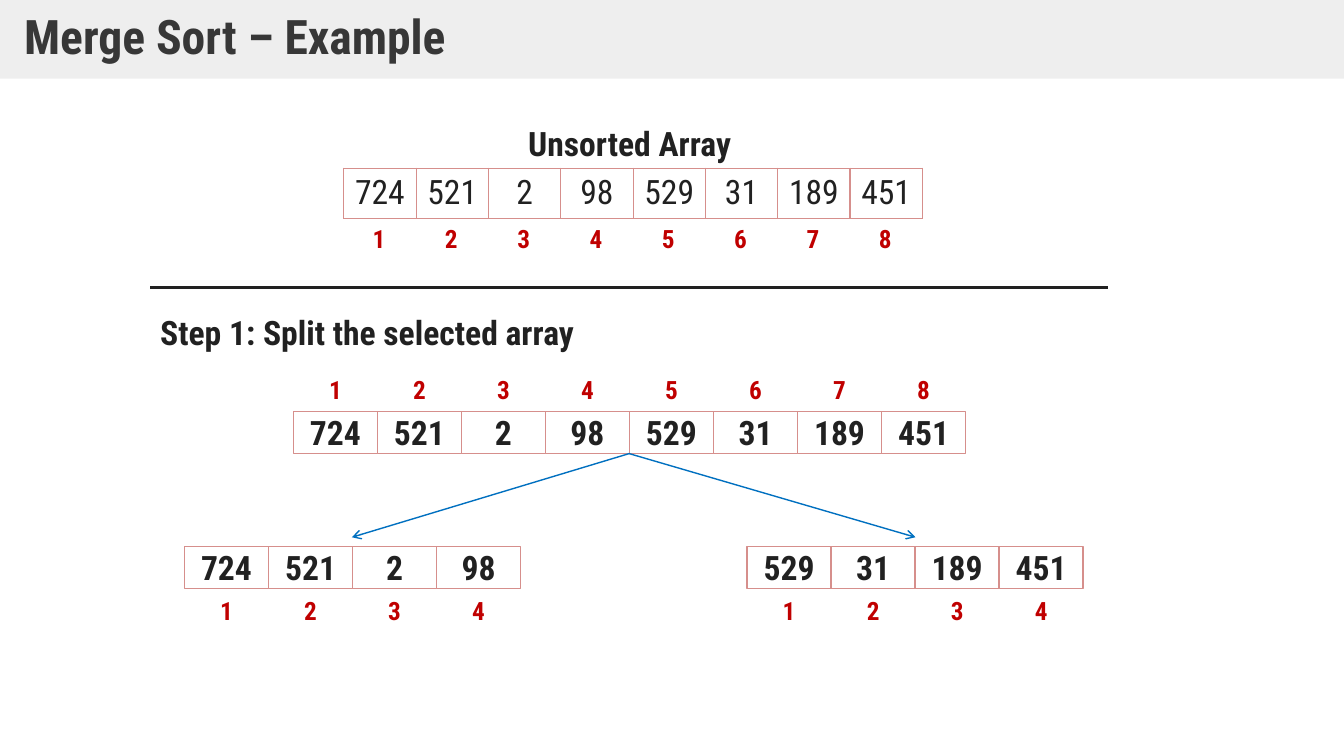
from lxml.etree import SubElement
from pptx import Presentation
from pptx.dml.color import RGBColor
from pptx.enum.shapes import MSO_CONNECTOR as Connector, MSO_SHAPE as Shape
from pptx.enum.text import MSO_ANCHOR as Anchor, MSO_AUTO_SIZE as AutoSize, PP_ALIGN as Align
from pptx.oxml.ns import qn
from pptx.util import Inches, Pt

TITLE = "Merge Sort – Example"
ARRAY_LABEL = "Unsorted Array"
STEP_LABEL = "Step 1: Split the selected array"
VALUES = [724, 521, 2, 98, 529, 31, 189, 451]
HALF = len(VALUES) // 2

TABLE_WIDTH = 5.74
BOX_WIDTH = 2.5 / 3
BOX_HEIGHT = 0.42
BOX_ROWS = [
    {"values": VALUES, "left": 2.91, "top": 4.08, "index_top": 3.65},
    {"values": VALUES[:HALF], "left": 1.83, "top": 5.42, "index_top": 5.85},
    {"values": VALUES[HALF:], "left": 7.41, "top": 5.42, "index_top": 5.85},
]
DIVIDER = {"start": (1.49, 2.85), "end": (10.99, 2.85)}
SPLIT_POINT = (6.24, 4.5)
SPLIT_TARGETS = [(3.49, 5.33), (9.08, 5.33)]

THEME = {
    "font": "Roboto Condensed",
    "banner": "DFDFDF",
    "banner_alpha": 50,
    "paper": "FFFFFF",
    "border": "D68F8C",
    "ink": "212121",
    "arrow": "0070C0",
    "title": {"size": 34, "color": "373737", "bold": True},
    "heading": {"size": 24, "color": "212121", "bold": True},
    "plain": {"size": 24, "color": "212121", "bold": False},
    "index": {"size": 18, "color": "C00000", "bold": True},
}


def rgb(code):
    return RGBColor.from_string(code)


def write(frame, text, style, align=Align.CENTER):
    para = frame.paragraphs[0]
    para.alignment = align
    span = para.add_run()
    span.text = str(text)
    formats = {"name": THEME["font"], "size": Pt(style["size"]), "bold": style["bold"]}
    for name, value in formats.items():
        setattr(span.font, name, value)
    span.font.color.rgb = rgb(style["color"])
    return para


def add_box(page, left, top, width, height, fill, border=None):
    box = page.shapes.add_shape(
        Shape.RECTANGLE, Inches(left), Inches(top), Inches(width), Inches(height))
    box.shadow.inherit = False
    box.fill.solid()
    box.fill.fore_color.rgb = rgb(fill)
    if border:
        box.line.color.rgb = rgb(border)
        box.line.width = Pt(1)
    else:
        box.line.fill.background()
    box.text_frame.vertical_anchor = Anchor.MIDDLE
    return box


def add_title(page):
    banner = add_box(page, 0, 0, 13.33, 0.78, THEME["banner"])
    color = banner.fill._xPr.find(qn("a:solidFill"))[0]
    SubElement(color, qn("a:alpha"), val=str(THEME["banner_alpha"] * 1000))
    margins = {"margin_left": 0.24, "margin_right": 0.24,
               "margin_top": 0.12, "margin_bottom": 0.12}
    for name, value in margins.items():
        setattr(banner.text_frame, name, Inches(value))
    write(banner.text_frame, TITLE, THEME["title"], Align.LEFT).line_spacing = 0.9


def add_label(page, text, left, top, width, align, wrap):
    box = page.shapes.add_textbox(Inches(left), Inches(top), Inches(width), Inches(0.5))
    box.text_frame.word_wrap = wrap
    box.text_frame.auto_size = AutoSize.SHAPE_TO_FIT_TEXT
    write(box.text_frame, text, THEME["heading"], align)


def add_row_table(page, values, left, top, height, style, border=None):
    table = page.shapes.add_table(
        1, len(values), Inches(left), Inches(top), Inches(TABLE_WIDTH), Inches(height)).table
    table.first_row = False
    table.horz_banding = False
    for column, value in enumerate(values):
        table.columns[column].width = Inches(TABLE_WIDTH / len(values))
        cell = table.cell(0, column)
        write(cell.text_frame, value, style)
        properties = cell._tc.get_or_add_tcPr()
        for side in ("a:lnL", "a:lnR", "a:lnT", "a:lnB"):
            edge = SubElement(properties, qn(side), w=str(Pt(1)))
            if border:
                paint = SubElement(edge, qn("a:solidFill"))
                SubElement(paint, qn("a:srgbClr"), val=border)
            else:
                SubElement(edge, qn("a:noFill"))
        cell.fill.background()


def add_box_row(page, values, left, top, index_top):
    rows = [
        (values, top, THEME["heading"], THEME["border"]),
        (range(1, len(values) + 1), index_top, THEME["index"], None),
    ]
    for entries, row_top, style, border in rows:
        for column, entry in enumerate(entries):
            box = add_box(page, left + column * BOX_WIDTH, row_top,
                          BOX_WIDTH, BOX_HEIGHT, THEME["paper"], border)
            write(box.text_frame, entry, style)


def add_line(page, start, end, color, width, arrow=False):
    ends = [Inches(length) for length in (*start, *end)]
    line = page.shapes.add_connector(Connector.STRAIGHT, *ends)
    line.line.color.rgb = rgb(color)
    line.line.width = Pt(width)
    if arrow:
        SubElement(line.line._get_or_add_ln(), qn("a:tailEnd"), type="arrow")
    SubElement(line._element.spPr, qn("a:effectLst"))


def main():
    deck = Presentation()
    deck.slide_width = Inches(13.33)
    deck.slide_height = Inches(7.5)
    page = deck.slides.add_slide(deck.slide_layouts[6])

    add_title(page)
    add_row_table(page, VALUES, 3.41, 1.67, 0.5, THEME["plain"], THEME["border"])
    add_label(page, ARRAY_LABEL, 5.08, 1.17, 2.33, Align.CENTER, False)
    add_row_table(page, range(1, len(VALUES) + 1), 3.4, 2.18, 0.41, THEME["index"])
    add_line(page, **DIVIDER, color=THEME["ink"], width=2.25)
    add_label(page, STEP_LABEL, 1.49, 3.05, 9.25, Align.LEFT, True)
    for row in BOX_ROWS:
        add_box_row(page, **row)
    for target in SPLIT_TARGETS:
        add_line(page, SPLIT_POINT, target, THEME["arrow"], 1, arrow=True)

    deck.save("out.pptx")


if __name__ == "__main__":
    main()
